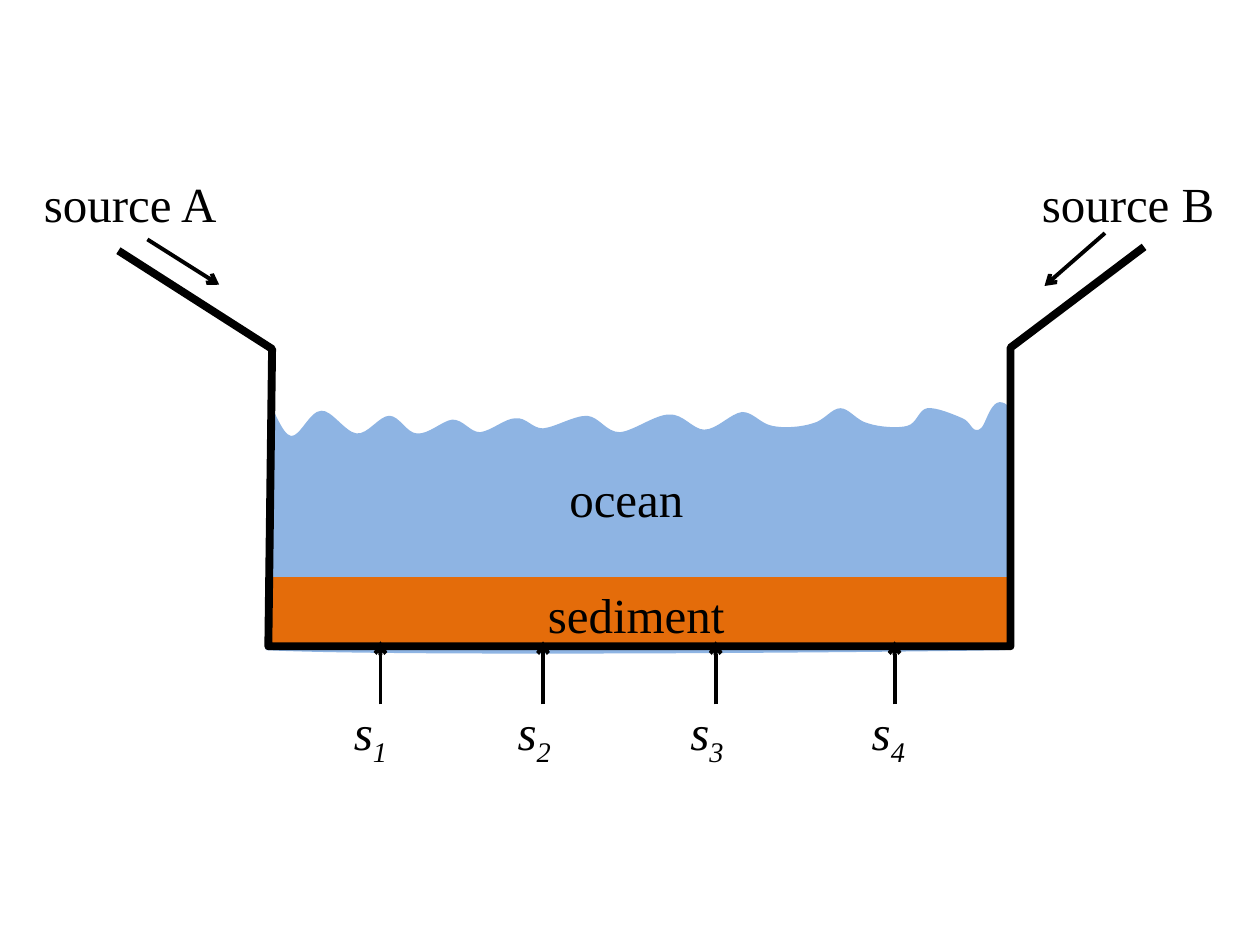
from lxml import etree
from pptx import Presentation
from pptx.dml.color import RGBColor
from pptx.enum import shapes, text
from pptx.oxml.ns import qn
from pptx.util import Inches, Pt

COLORS = {"ink": "000000", "water": "8EB4E3", "sediment": "E46C0A"}
FONT = {"name": "Times New Roman", "size": Pt(28)}
LABEL_HEIGHT = 0.57
BASIN_OUTLINE = [(0, 0.03), (1.22, 0.81), (1.19, 3.17),
                 (7.08, 3.17), (7.08, 0.8), (8.14, 0)]
WATER_START = (0.14, 0.21)
# Each curve: first control point, second control point, end point.
WATER_CURVES = [
    (0.17, 0.23, 0.24, 0.45, 0.31, 0.46), (0.38, 0.47, 0.46, 0.26, 0.55, 0.26),
    (0.63, 0.25, 0.74, 0.43, 0.83, 0.44), (0.92, 0.45, 1.01, 0.30, 1.09, 0.30),
    (1.17, 0.30, 1.23, 0.44, 1.31, 0.44), (1.40, 0.45, 1.51, 0.34, 1.59, 0.33),
    (1.68, 0.33, 1.73, 0.43, 1.81, 0.43), (1.90, 0.42, 2.01, 0.32, 2.09, 0.32),
    (2.18, 0.31, 2.22, 0.40, 2.31, 0.40), (2.41, 0.39, 2.55, 0.30, 2.66, 0.30),
    (2.76, 0.31, 2.81, 0.43, 2.92, 0.43), (3.03, 0.42, 3.20, 0.29, 3.31, 0.29),
    (3.42, 0.28, 3.50, 0.41, 3.59, 0.41), (3.69, 0.41, 3.80, 0.28, 3.89, 0.27),
    (3.98, 0.27, 4.03, 0.36, 4.13, 0.38), (4.22, 0.40, 4.36, 0.39, 4.45, 0.36),
    (4.54, 0.34, 4.60, 0.24, 4.67, 0.24), (4.74, 0.24, 4.80, 0.34, 4.89, 0.36),
    (4.98, 0.39, 5.13, 0.40, 5.20, 0.38), (5.28, 0.36, 5.29, 0.25, 5.36, 0.24),
    (5.43, 0.23, 5.57, 0.29, 5.64, 0.32), (5.71, 0.35, 5.71, 0.43, 5.77, 0.41),
    (5.83, 0.40, 5.86, 0.10, 6.00, 0.22), (6.01, 0.60, 6.02, 1.65, 5.98, 2.16),
    (4.89, 2.18, 1.04, 2.21, 0.11, 2.16), (0.14, 1.39, 0.14, 1.11, 0.16, 0.30),
]


def rgb(name):
    return RGBColor.from_string(COLORS[name])


def add_outline(slide, left, top, points, close):
    corners = [(Inches(left + x), Inches(top + y)) for x, y in points]
    builder = slide.shapes.build_freeform(*corners[0])
    builder.add_line_segments(corners[1:], close=close)
    shape = builder.convert_to_shape()
    shape.shadow.inherit = False
    return shape


def bend_outline(shape):
    """Turn every three line segments of an outline into one Bezier curve."""
    lines = list(shape._element.iter(qn("a:lnTo")))
    for index in range(0, len(lines) - 2, 3):
        first, second, last = lines[index:index + 3]
        curve = etree.Element(qn("a:cubicBezTo"))
        first.addprevious(curve)
        for line in (first, second, last):
            curve.append(line[0])
            line.getparent().remove(line)


def fill_plain(shape, color):
    shape.shadow.inherit = False
    shape.fill.solid()
    shape.fill.fore_color.rgb = rgb(color)
    shape.line.fill.background()


def add_arrow(slide, start, end):
    arrow = slide.shapes.add_connector(
        shapes.MSO_CONNECTOR.STRAIGHT, *map(Inches, (*start, *end)))
    arrow.line.color.rgb = rgb("ink")
    arrow.line.width = Pt(2.25)
    etree.SubElement(arrow.line._get_or_add_ln(), qn("a:tailEnd"), type="arrow")
    etree.SubElement(arrow._element.spPr, qn("a:effectLst"))


def add_label(slide, left, top, width, wording, subscript=None):
    """Add a label; one with a subscript is set in italics."""
    box = slide.shapes.add_textbox(*map(Inches, (left, top, width, LABEL_HEIGHT)))
    box.text_frame.word_wrap = True
    box.text_frame.auto_size = text.MSO_AUTO_SIZE.SHAPE_TO_FIT_TEXT
    paragraph = box.text_frame.paragraphs[0]
    for part in filter(None, (wording, subscript)):
        run = paragraph.add_run()
        run.text = part
        for attribute, value in FONT.items():
            setattr(run.font, attribute, value)
        run.font.color.rgb = rgb("ink")
        if subscript:
            run.font.italic = True
    if subscript:
        run.font._element.set("baseline", "-25000")


def draw_basin(slide, left, top):
    water_points = [WATER_START] + [
        curve[i:i + 2] for curve in WATER_CURVES for i in (0, 2, 4)]
    water = add_outline(slide, left + 1.06, top + 1.04, water_points, True)
    bend_outline(water)
    fill_plain(water, "water")
    sediment = slide.shapes.add_shape(
        shapes.MSO_SHAPE.RECTANGLE,
        *map(Inches, (left + 1.18, top + 2.62, 5.88, 0.55)))
    fill_plain(sediment, "sediment")
    walls = add_outline(slide, left, top, BASIN_OUTLINE, False)
    walls.fill.background()
    walls.line.color.rgb = rgb("ink")
    walls.line.width = Pt(4.5)
    add_label(slide, left + 3.48, top + 1.71, 1.25, "ocean")
    add_label(slide, left + 3.31, top + 2.63, 1.92, "sediment")


def draw_source(slide, left, top, width, wording, start, end):
    """Draw a source label and its arrow, given as offsets from the label."""
    add_label(slide, left, top, width, wording)
    add_arrow(slide, *((left + x, top + y) for x, y in (start, end)))


def draw_seeps(slide, left, top):
    """Draw numbered seeps, each an arrow above a label."""
    seeps = [(0.31, 0), (1.6, 1.3), (2.97, 2.67), (4.39, 4.11)]
    for number, (arrow_offset, label_offset) in enumerate(seeps, start=1):
        x = left + arrow_offset
        add_arrow(slide, (x, top + 0.5), (x, top))
        add_label(slide, left + label_offset, top + 0.43, 0.62, "s", str(number))


def main():
    presentation = Presentation()
    presentation.slide_width = Inches(10)
    presentation.slide_height = Inches(7.5)
    slide = presentation.slides.add_slide(presentation.slide_layouts[6])
    draw_basin(slide, 0.94, 1.96)
    draw_source(slide, 0.25, 1.33, 2, "source A", (0.92, 0.57), (1.49, 0.93))
    draw_source(slide, 8.17, 1.33, 1.67, "source B", (0.6, 0.52), (0.12, 0.94))
    draw_seeps(slide, 2.71, 5.09)
    presentation.save("out.pptx")


if __name__ == "__main__":
    main()
